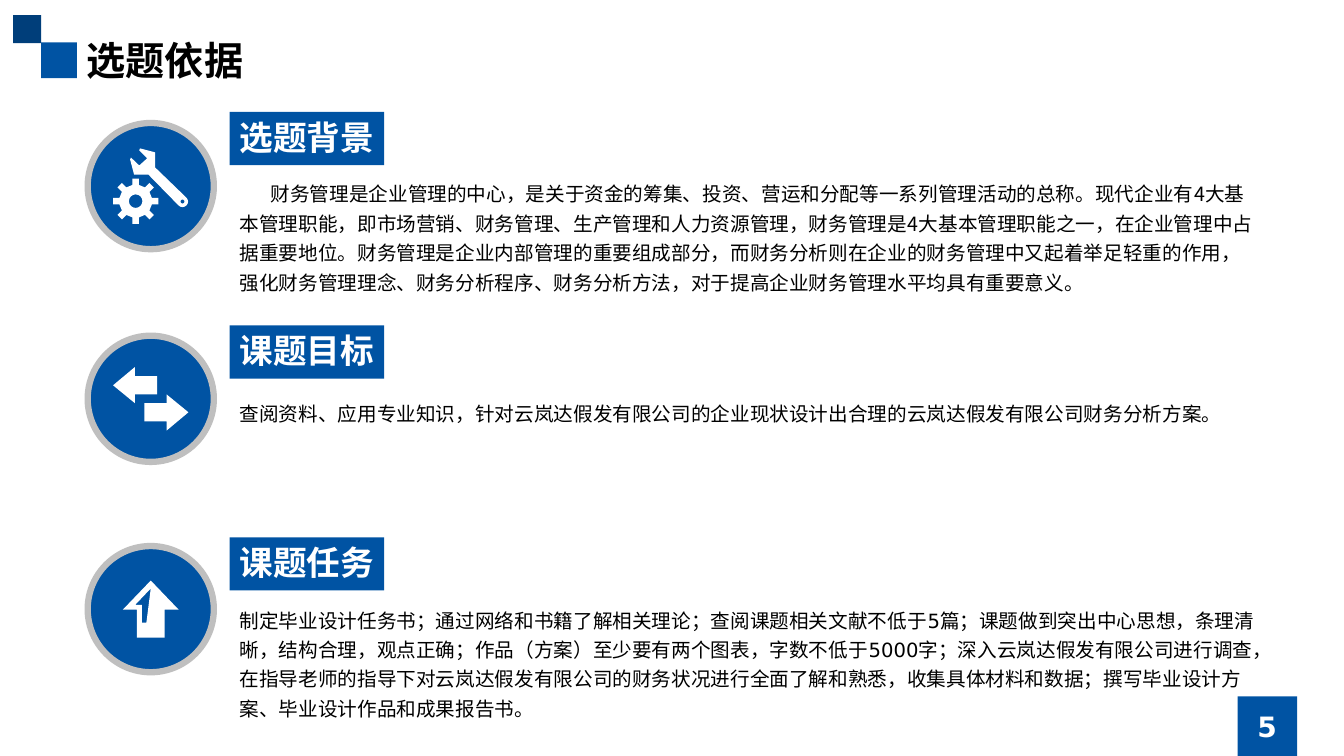
from math import cos, pi, sin

from lxml.etree import SubElement
from pptx import Presentation
from pptx.dml.color import RGBColor
from pptx.enum.shapes import MSO_SHAPE as Shape
from pptx.enum.text import MSO_ANCHOR as Anchor, MSO_AUTO_SIZE as AutoSize, PP_ALIGN as Align
from pptx.oxml.ns import qn
from pptx.util import Cm, Pt

COLORS = {"blue": "0053A3", "navy": "003E7A", "ring": "BFBFBF",
          "white": "FFFFFF", "black": "000000"}
LATIN, CHINESE = "DejaVu Sans", "Noto Sans CJK SC"
COMPANY = "云岚达假发有限公司"
ICON_X = 3.8
CIRCLE = 3.18
TEXT_LEFT = 5.79

BACKGROUND = (
    "财务管理是企业管理的中心，是关于资金的筹集、投资、营运和分配等一系列管理活动的总称。"
    "现代企业有4大基本管理职能，即市场营销、财务管理、生产管理和人力资源管理，"
    "财务管理是4大基本管理职能之一，在企业管理中占据重要地位。"
    "财务管理是企业内部管理的重要组成部分，而财务分析则在企业的财务管理中又起着举足轻重的作用，"
    "强化财务管理理念、财务分析程序、财务分析方法，对于提高企业财务管理水平均具有重要意义。")
GOAL = (f"查阅资料、应用专业知识，针对{COMPANY}的企业现状设计出合理的"
        f"{COMPANY}财务分析方案。")
TASK = (
    "制定毕业设计任务书；通过网络和书籍了解相关理论；查阅课题相关文献不低于5篇；"
    "课题做到突出中心思想，条理清晰，结构合理，观点正确；"
    "作品（方案）至少要有两个图表，字数不低于5000字；"
    f"深入{COMPANY}进行调查，在指导老师的指导下对{COMPANY}的财务状况进行全面了解和熟悉，"
    "收集具体材料和数据；撰写毕业设计方案、毕业设计作品和成果报告书。")


def color(name):
    """Return the named colour."""
    return RGBColor.from_string(COLORS[name])


def arc(x, y, radius, start=0.0, end=2 * pi, steps=16):
    """Return points along a circular arc."""
    angles = [start + (end - start) * i / steps for i in range(steps + 1)]
    return [(x + radius * cos(a), y + radius * sin(a)) for a in angles]


def gear(x, y, teeth=8, body=0.41, tip=0.57, half=0.08, hole=0.17):
    """Return the contours of a gear with a round hole."""
    rim = []
    for tooth in range(teeth):
        a = 2 * pi * tooth / teeth
        for out, side in ((body, -half), (tip, -half), (tip, half), (body, half)):
            rim.append((x + out * cos(a) - side * sin(a), y + out * sin(a) + side * cos(a)))
    return [rim, arc(x, y, hole)]


def wrench():
    """Return the contours of a wrench with a hole in its handle."""
    jaw = [(0.11, -0.47), (0.11, -0.85), (-0.27, -0.95), (-0.29, -0.9), (-0.09, -0.7),
           (-0.29, -0.52), (-0.5, -0.72), (-0.52, -0.67), (-0.42, -0.29), (-0.06, -0.29)]
    return [jaw + arc(0.8, 0.39, 0.14, 0.75 * pi, -0.25 * pi, 8), arc(0.8, 0.39, 0.05)]


def opposite_arrows():
    """Return a left arrow and the same arrow turned half round."""
    left = [(0.16, -0.11), (-0.4, -0.11), (-0.4, 0.11), (-0.95, -0.34),
            (-0.4, -0.8), (-0.4, -0.57), (0.16, -0.57)]
    return [left, [(-x, -y) for x, y in left]]


def up_arrow():
    """Return an upward arrow and the notch cut into it."""
    arrow = [(-0.35, 0.72), (-0.35, 0.01), (-0.7, 0.01), (0, -0.72),
             (0.7, 0.01), (0.35, 0.01), (0.35, 0.72)]
    notch = [(0, -0.52), (-0.39, -0.11), (-0.22, -0.11), (-0.22, 0.34), (-0.11, 0.34)]
    return [arrow, notch]


def paint(shape, fill, line=None):
    """Give a shape a flat fill and an optional ring."""
    shape.shadow.inherit = False
    shape.fill.solid()
    shape.fill.fore_color.rgb = color(fill)
    if line:
        shape.line.color.rgb = color(line)
        shape.line.width = Pt(4.5)
    else:
        shape.line.fill.background()


def write(box, text, size, ink="black", font=LATIN, bold=False,
          align=Align.LEFT, anchor=Anchor.TOP, wrap=True):
    """Write one formatted paragraph into a box and return it."""
    frame = box.text_frame
    frame.word_wrap, frame.auto_size, frame.vertical_anchor = wrap, AutoSize.NONE, anchor
    para = frame.paragraphs[0]
    para.text, para.alignment = text, align
    para.font.name, para.font.size, para.font.bold = font, Pt(size), bold
    para.font.color.rgb = color(ink)
    properties = para._p.get_or_add_pPr().find(qn("a:defRPr"))
    east_asian = SubElement(properties, qn("a:ea"))
    east_asian.set("typeface", CHINESE)
    properties.find(qn("a:latin")).addnext(east_asian)
    return para


def add_block(page, left, top, width, height, fill):
    """Add a plain filled rectangle."""
    block = page.shapes.add_shape(Shape.RECTANGLE, Cm(left), Cm(top), Cm(width), Cm(height))
    paint(block, fill)
    return block


def add_icon(page, center_y, figures):
    """Add a ringed circle with white figures, grouped."""
    group = page.shapes.add_group_shape()
    disc = group.shapes.add_shape(Shape.OVAL, Cm(ICON_X - CIRCLE / 2),
                                  Cm(center_y - CIRCLE / 2), Cm(CIRCLE), Cm(CIRCLE))
    paint(disc, "blue", "ring")
    for contours in figures:
        builder = None
        for contour in contours:
            points = [(Cm(ICON_X + x), Cm(center_y + y)) for x, y in contour]
            if builder is None:
                builder = group.shapes.build_freeform(*points[0])
            else:
                builder.move_to(*points[0])
            builder.add_line_segments(points[1:], close=True)
        paint(builder.convert_to_shape(), "white")


def add_heading(page, top, text):
    """Add a section heading on a blue block."""
    block = add_block(page, TEXT_LEFT, top, 3.89, 1.34, "blue")
    write(block, text, 24, "white", bold=True, wrap=False)


def add_body(page, top, height, text, font=LATIN, indent=0):
    """Add a section's running text."""
    box = page.shapes.add_textbox(Cm(TEXT_LEFT), Cm(top), Cm(26.14), Cm(height))
    para = write(box, text, 14, font=font)
    para.line_spacing = 1.25
    if indent:
        para._p.get_or_add_pPr().set("indent", str(Cm(indent)))


def add_title(page, text):
    """Place and format the slide title."""
    title = page.shapes.title
    title.left, title.top, title.width, title.height = Cm(1.93), Cm(0.79), Cm(15), Cm(1.52)
    write(title, text, 28, font=CHINESE, bold=True)


def add_page_number(page, number):
    """Add the page number on its blue block."""
    add_block(page, 31.19, 17.55, 1.5, 1.5, "blue")
    box = page.shapes.add_textbox(Cm(30), Cm(17.8), Cm(3.87), Cm(1.02))
    write(box, number, 20, "white", bold=True, align=Align.CENTER, anchor=Anchor.MIDDLE)


def main():
    """Build the slide and save it."""
    deck = Presentation()
    deck.slide_width, deck.slide_height = Cm(33.87), Cm(19.05)
    page = deck.slides.add_slide(deck.slide_layouts[5])
    add_block(page, 1.04, 1.07, 0.9, 0.9, "blue")
    add_block(page, 0.33, 0.38, 0.71, 0.71, "navy")
    add_title(page, "选题依据")
    add_page_number(page, "5")

    add_icon(page, 4.69, [gear(-0.38, 0.38), wrench()])
    add_heading(page, 2.82, "选题背景")
    add_body(page, 4.32, 3.23, BACKGROUND, CHINESE, indent=0.78)

    add_icon(page, 10.05, [opposite_arrows()])
    add_heading(page, 8.2, "课题目标")
    add_body(page, 9.86, 1, GOAL)

    add_icon(page, 15.35, [up_arrow()])
    add_heading(page, 13.54, "课题任务")
    add_body(page, 15.06, 3.23, TASK)
    deck.save("out.pptx")


main()
